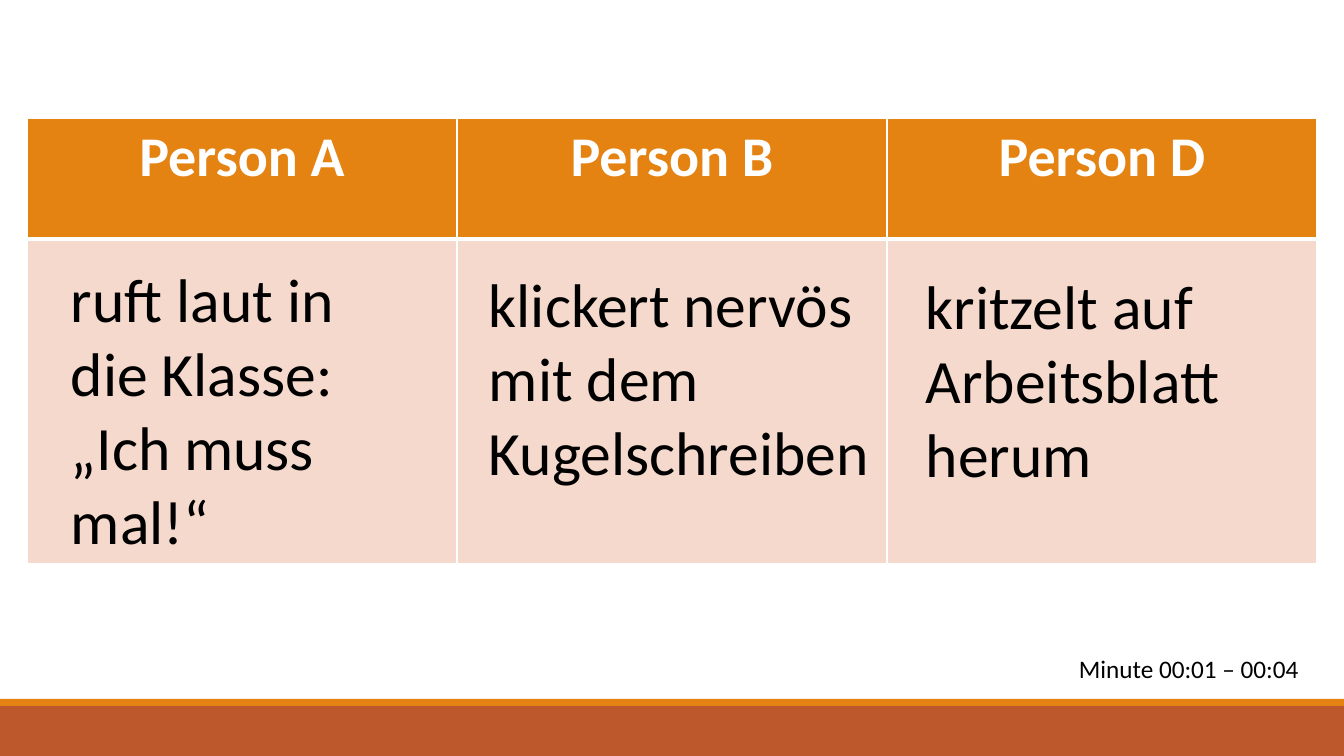
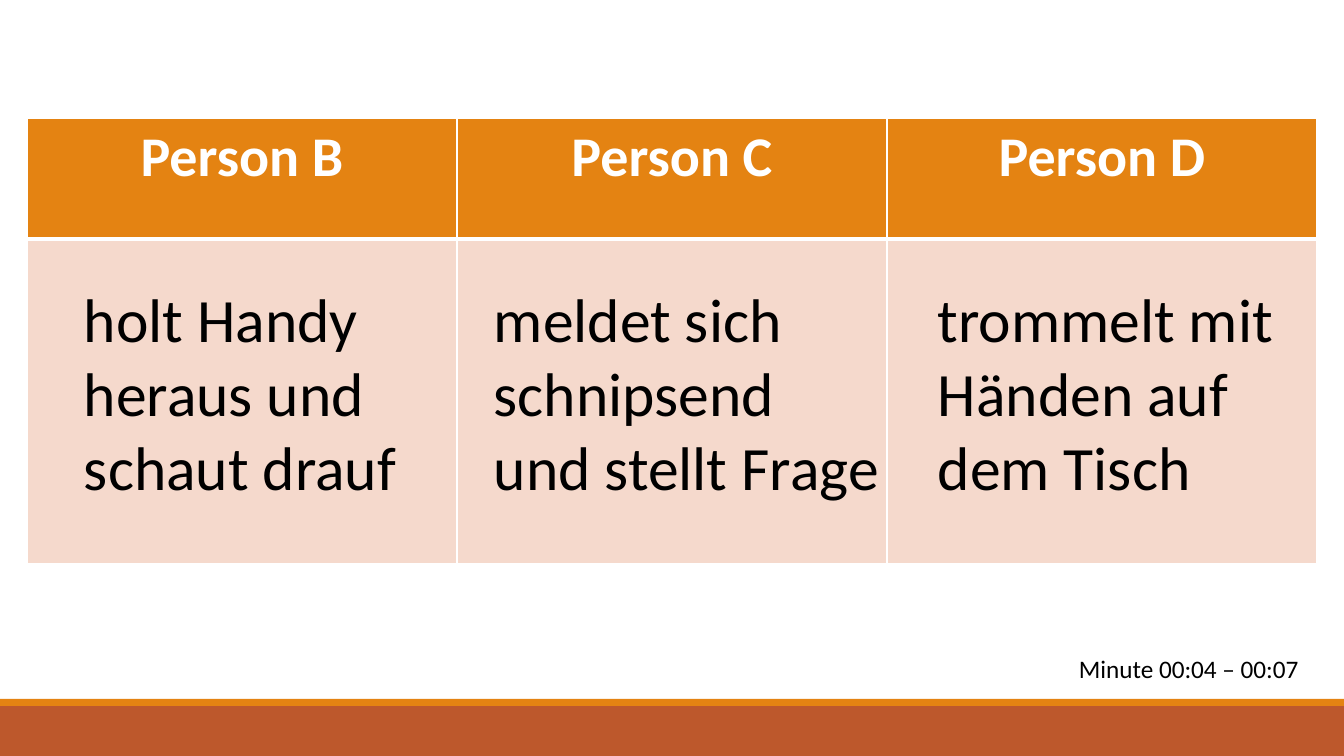
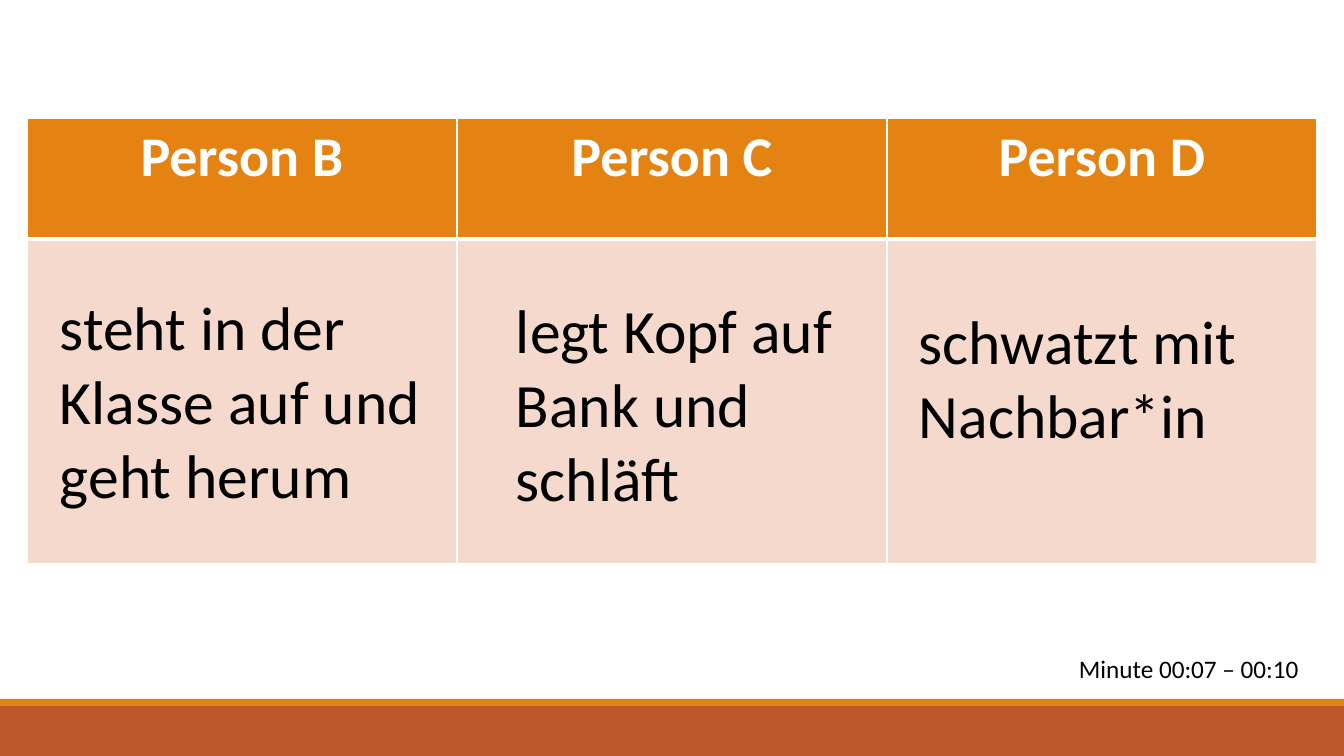
"""Builds three slides that list what each person does in a span of minutes."""
from lxml import etree
from pptx import Presentation
from pptx.dml.color import RGBColor
from pptx.enum.shapes import MSO_SHAPE
from pptx.enum.text import PP_ALIGN
from pptx.oxml.ns import qn
from pptx.util import Emu, Pt

RECTANGLE = MSO_SHAPE.RECTANGLE
LEFT, CENTER = PP_ALIGN.LEFT, PP_ALIGN.CENTER

FONT = "Calibri"
ORANGE, RUST, PEACH = "E48312", "BD582C", "F5D9CC"
WHITE, BLACK = "FFFFFF", "000000"

SLIDE_WIDTH, SLIDE_HEIGHT = 1344, 756
BANDS = [(706, 50, RUST), (699, 7, ORANGE)]
TABLE_LEFT, TABLE_TOP, COLUMN_WIDTH = 27, 118, 430
ROW_HEIGHTS = [121, 325]
MINUTE_BOX = (1069, 648, 248, 72)

SCENES = [
    {
        "minute": "Minute 00:01 – 00:04",
        "actions": [
            ("Person A", "ruft laut in die Klasse:\n„Ich muss mal!“", (61, 256, 320, 308)),
            ("Person B", "klickert nervös mit dem Kugelschreiben", (479, 261, 407, 234)),
            ("Person D", "kritzelt auf Arbeitsblatt herum", (916, 263, 370, 234)),
        ],
    },
    {
        "minute": "Minute 00:04 – 00:07",
        "actions": [
            ("Person B", "holt Handy heraus und schaut drauf", (74, 276, 383, 234)),
            ("Person C", "meldet sich schnipsend und stellt Frage", (484, 276, 407, 265)),
            ("Person D", "trommelt mit Händen auf dem Tisch", (928, 276, 392, 265)),
        ],
    },
    {
        "minute": "Minute 00:07 – 00:10",
        "actions": [
            ("Person B", "steht in der Klasse auf und geht herum", (50, 284, 383, 234)),
            ("Person C", "legt Kopf auf Bank und schläft", (506, 287, 370, 234)),
            ("Person D", "schwatzt mit Nachbar*in", (909, 298, 370, 159)),
        ],
    },
]


def px(length):
    return Emu(round(length * 914400 / 100.8))


def color(value):
    return RGBColor.from_string(value)


def write(frame, text, size, fill=BLACK, bold=False, align=LEFT):
    frame.word_wrap = True
    frame.text = text
    for paragraph in frame.paragraphs:
        paragraph.alignment = align
        for run in paragraph.runs:
            font = run.font
            font.name, font.size, font.bold = FONT, Pt(size), bold
            font.color.rgb = color(fill)


def add_text(slide, text, box, size):
    shape = slide.shapes.add_textbox(*map(px, box))
    write(shape.text_frame, text, size)


def add_bands(slide):
    for top, height, fill in BANDS:
        band = slide.shapes.add_shape(RECTANGLE, 0, px(top), px(SLIDE_WIDTH), px(height))
        band.shadow.inherit = False
        band.fill.solid()
        band.fill.fore_color.rgb = color(fill)
        band.line.fill.background()


def format_cell(cell, fill, borders):
    cell.fill.solid()
    cell.fill.fore_color.rgb = color(fill)
    properties = cell._tc.get_or_add_tcPr()
    for index, (side, width) in enumerate(borders.items()):
        line = etree.Element(qn(f"a:ln{side}"), w=str(Pt(width)))
        solid = etree.SubElement(line, qn("a:solidFill"))
        etree.SubElement(solid, qn("a:srgbClr"), val=WHITE)
        properties.insert(index, line)


def add_person_table(slide, people):
    frame = slide.shapes.add_table(
        len(ROW_HEIGHTS), len(people), px(TABLE_LEFT), px(TABLE_TOP),
        px(COLUMN_WIDTH * len(people)), px(sum(ROW_HEIGHTS)))
    table = frame.table
    for row, height in zip(table.rows, ROW_HEIGHTS):
        row.height = px(height)
    for index, person in enumerate(people):
        table.columns[index].width = px(COLUMN_WIDTH)
        header, body = table.cell(0, index), table.cell(1, index)
        write(header.text_frame, person, 40, fill=WHITE, bold=True, align=CENTER)
        format_cell(header, ORANGE, {"L": 1, "R": 1, "T": 1, "B": 3})
        format_cell(body, PEACH, {"L": 1, "R": 1, "T": 3, "B": 1})


def main():
    presentation = Presentation()
    presentation.slide_width, presentation.slide_height = px(SLIDE_WIDTH), px(SLIDE_HEIGHT)
    blank_layout = presentation.slide_layouts[6]
    for scene in SCENES:
        slide = presentation.slides.add_slide(blank_layout)
        add_bands(slide)
        add_person_table(slide, [person for person, _, _ in scene["actions"]])
        for _, action, box in scene["actions"]:
            add_text(slide, action, box, 44)
        add_text(slide, scene["minute"], MINUTE_BOX, 18)
    presentation.save("out.pptx")


if __name__ == "__main__":
    main()
